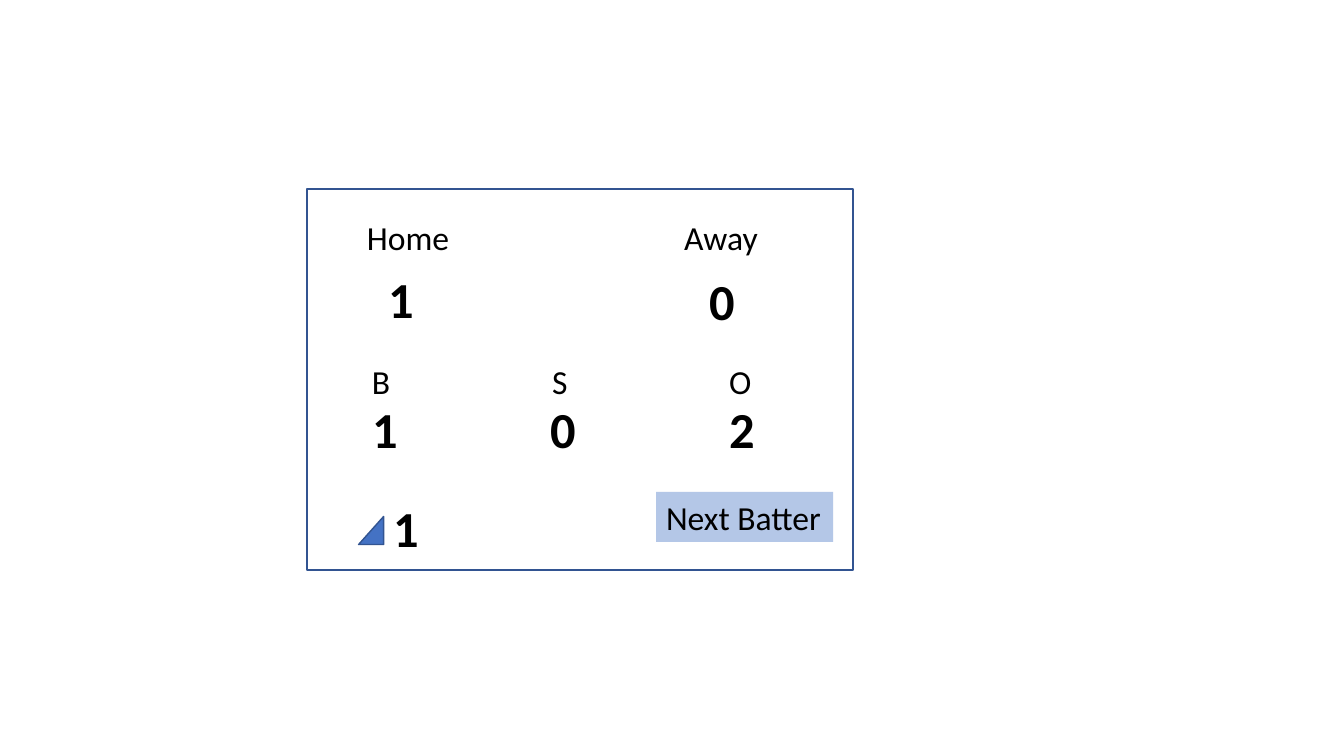
from pptx import Presentation, util as u
from pptx.dml.color import RGBColor
from pptx.enum import shapes, text

PX = u.Inches(1) / 100.8
LABEL = dict(height=50, size=24, bold=False)
SCORE = dict(height=71, size=36, bold=True)


def add_text(words, left, top, width, height, size, bold):
    """Add a one-line text box, placed in pixels."""
    box = slide.shapes.add_textbox(*[round(n * PX) for n in (left, top, width, height)])
    frame = box.text_frame
    frame.word_wrap = True
    frame.auto_size = text.MSO_AUTO_SIZE.SHAPE_TO_FIT_TEXT
    run = frame.paragraphs[0].add_run()
    run.text = words
    run.font.name = "Calibri"
    run.font.size = u.Pt(size)
    run.font.bold = bold
    run.font.color.rgb = RGBColor.from_string("000000")
    return box


def add_outlined(preset, left, top, width, height, fill=None):
    """Add a preset shape with a thin blue outline, placed in pixels."""
    shape = slide.shapes.add_shape(preset, *[round(n * PX) for n in (left, top, width, height)])
    shape.shadow.inherit = False
    if fill:
        shape.fill.solid()
        shape.fill.fore_color.rgb = RGBColor.from_string(fill)
    else:
        shape.fill.background()
    shape.line.color.rgb = RGBColor.from_string("325491")
    shape.line.width = u.Pt(1)
    return shape


prs = Presentation()
prs.slide_width, prs.slide_height = u.Inches(13.33), u.Inches(7.5)
slide = prs.slides.add_slide(prs.slide_layouts[6])

# Scoreboard frame
add_outlined(shapes.MSO_SHAPE.RECTANGLE, 307, 189, 546, 381)

# Team runs
for team, left, width, runs, runs_left, runs_top in [
    ("Home", 357, 112, "1", 378, 263),
    ("Away", 674, 95, "0", 699, 265),
]:
    add_text(team, left, 212, width, **LABEL)
    add_text(runs, runs_left, runs_top, 46, **SCORE)

# Balls, strikes and outs
for letter, left, count, count_left in [
    ("B", 362, "1", 362),
    ("S", 542, "0", 540),
    ("O", 719, "2", 719),
]:
    add_text(letter, left, 356, 112, **LABEL)
    add_text(count, count_left, 393, 64, **SCORE)

# Button and inning
next_batter = add_text("Next Batter", 656, 492, 177, **LABEL)
next_batter.fill.solid()
next_batter.fill.fore_color.rgb = RGBColor.from_string("B4C7E7")

inning_half = add_outlined(shapes.MSO_SHAPE.RIGHT_TRIANGLE, 357, 518, 28, 25, "4472C4")
inning_half.rotation = 270
add_text("1", 383, 492, 46, **SCORE)

prs.save("out.pptx")
